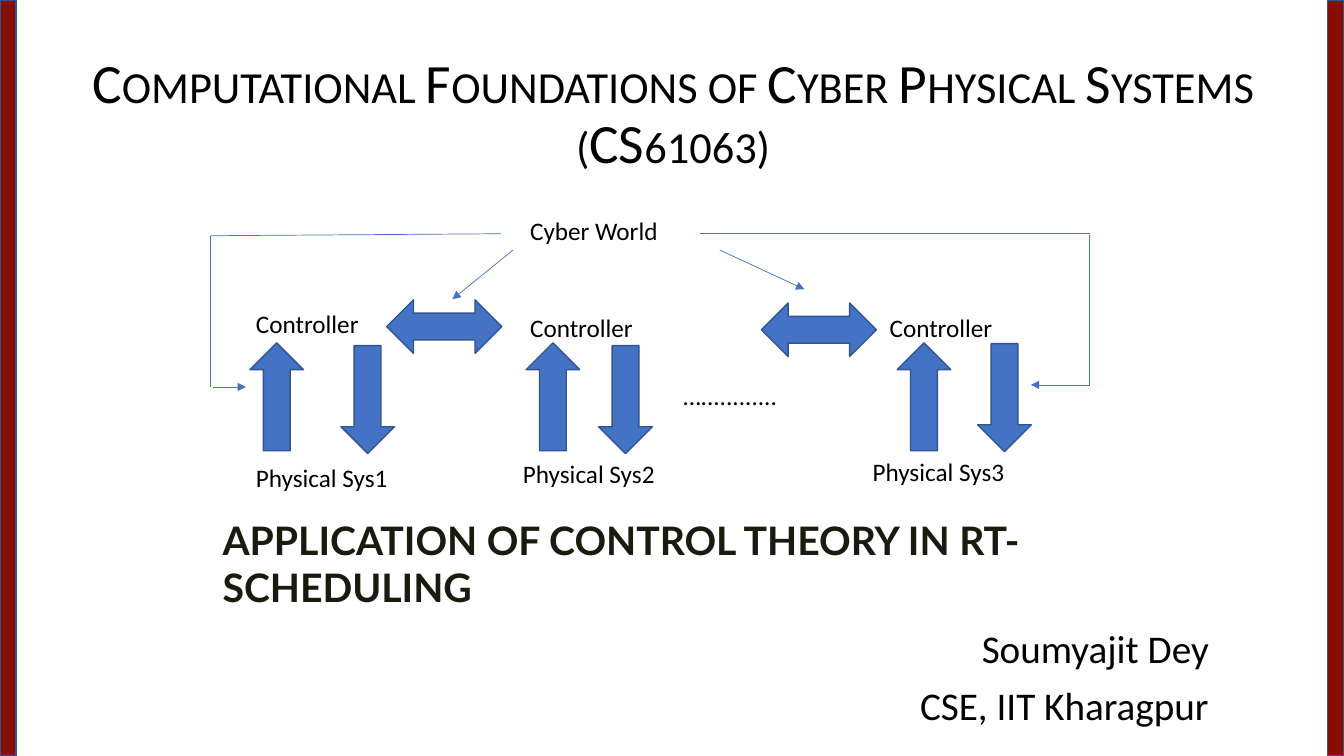
"""Builds the opening slide of a lecture on cyber physical systems."""
from dataclasses import dataclass

from pptx import Presentation
from pptx import util as u
from pptx.dml.color import RGBColor
from pptx.enum import shapes, text
from pptx.oxml.ns import qn
from lxml import etree


@dataclass(frozen=True)
class Theme:
    """Colours, fonts and type sizes of the slide."""
    black: str = "000000"
    heading: str = "191B0E"
    bar: str = "860F02"
    arrow: str = "4472C4"
    outline: str = "325491"
    body_font: str = "Calibri"
    heading_font: str = "Lato"
    title_size: float = 39.6
    large_size: float = 28
    label_size: float = 18


THEME = Theme()
SLIDE_WIDTH, SLIDE_HEIGHT = 33.87, 19.05
BAR_WIDTH = 0.41
ARROW_WIDTH, ARROW_LENGTH, LINK_LENGTH = 1.35, 2.72, 2.9
LABEL_HEIGHT = 1.02

SYSTEMS = [
    {"name": "Physical Sys1", "name_at": (6.2, 11.53), "controller_at": (6.2, 7.65),
     "up_at": (6.3, 8.64), "down_at": (8.59, 8.71)},
    {"name": "Physical Sys2", "name_at": (12.93, 11.43), "controller_at": (13.11, 7.75),
     "up_at": (13.26, 8.64), "down_at": (15.09, 8.71)},
    {"name": "Physical Sys3", "name_at": (21.74, 11.38), "controller_at": (22.17, 7.75),
     "up_at": (22.61, 8.64), "down_at": (24.64, 8.66)},
]
LINKS = [(10.52, 6.78), (19.96, 6.86)]
PLAIN_LINES = [
    (12.62, 5.89, 5.31, 5.94),
    (27.46, 5.89, 17.65, 5.89),
    (5.31, 5.94, 5.31, 9.75),
    (27.46, 5.92, 27.46, 9.7),
]
ARROW_LINES = [
    (12.93, 6.3, 11.4, 7.54),
    (18.14, 6.3, 20.27, 7.29),
    (5.36, 9.75, 6.2, 9.75),
    (27.46, 9.7, 25.98, 9.7),
]


def set_values(target, values):
    """Set each named attribute of the target."""
    for name, value in values.items():
        setattr(target, name, value)


def add_text(slide, box, lines, size=THEME.label_size, font=THEME.body_font,
             color=THEME.black, bold=False, anchor=text.MSO_ANCHOR.TOP, small_caps=False,
             paragraph_format=None):
    """Add a text box with one paragraph for each line."""
    shape = slide.shapes.add_textbox(*map(u.Cm, box))
    frame = shape.text_frame
    set_values(frame, {"word_wrap": True, "vertical_anchor": anchor})
    frame.text = "\n".join(lines)
    for paragraph in frame.paragraphs:
        set_values(paragraph, paragraph_format or {})
        for run in paragraph.runs:
            set_values(run.font, {"name": font, "size": u.Pt(size), "bold": bold})
            run.font.color.rgb = RGBColor.from_string(color)
            if small_caps:
                run.font._element.set("cap", "small")


def add_block(slide, kind, box, fill, rotation=0):
    """Add a filled and outlined preset shape."""
    shape = slide.shapes.add_shape(kind, *map(u.Cm, box))
    shape.shadow.inherit = False
    shape.rotation = rotation
    shape.fill.solid()
    shape.fill.fore_color.rgb = RGBColor.from_string(fill)
    shape.line.color.rgb = RGBColor.from_string(THEME.outline)
    shape.line.width = u.Pt(1)


def add_line(slide, ends, arrowhead=False):
    """Add a thin straight line, with an arrowhead at its end if asked."""
    connector = slide.shapes.add_connector(shapes.MSO_CONNECTOR.STRAIGHT, *map(u.Cm, ends))
    connector.line.color.rgb = RGBColor.from_string(THEME.arrow)
    connector.line.width = u.Pt(0.5)
    properties = connector._element.spPr
    if arrowhead:
        etree.SubElement(properties.find(qn("a:ln")), qn("a:tailEnd"), type="triangle")
    etree.SubElement(properties, qn("a:effectLst"))


def add_system(slide, system):
    """Add a physical system, its controller and the arrows between them."""
    add_text(slide, (*system["name_at"], 4.42, LABEL_HEIGHT), [system["name"]])
    add_text(slide, (*system["controller_at"], 3.53, LABEL_HEIGHT), ["Controller"])
    for key, kind in (("up_at", shapes.MSO_SHAPE.UP_ARROW),
                      ("down_at", shapes.MSO_SHAPE.DOWN_ARROW)):
        add_block(slide, kind, (*system[key], ARROW_WIDTH, ARROW_LENGTH), THEME.arrow)


def add_diagram(slide):
    """Add the systems, the links between them and the cyber world above."""
    for system in SYSTEMS:
        add_system(slide, system)
    for link in LINKS:
        add_block(slide, shapes.MSO_SHAPE.UP_DOWN_ARROW, (*link, ARROW_WIDTH, LINK_LENGTH),
                  THEME.arrow, rotation=90)
    add_text(slide, (16.97, 9.47, 3.3, LABEL_HEIGHT), ["…............"])
    add_text(slide, (13.11, 5.31, 4.39, LABEL_HEIGHT), ["Cyber World"])
    for ends in PLAIN_LINES:
        add_line(slide, ends)
    for ends in ARROW_LINES:
        add_line(slide, ends, arrowhead=True)


def main():
    """Build the slide and save it."""
    presentation = Presentation()
    set_values(presentation, {"slide_width": u.Cm(SLIDE_WIDTH),
                              "slide_height": u.Cm(SLIDE_HEIGHT)})
    slide = presentation.slides.add_slide(presentation.slide_layouts[6])
    for left in (0, SLIDE_WIDTH - BAR_WIDTH):
        add_block(slide, shapes.MSO_SHAPE.RECTANGLE, (left, 0, BAR_WIDTH, SLIDE_HEIGHT), THEME.bar)
    add_text(slide, (1.52, 1.07, 30.89, 3.68),
             ["Computational Foundations of Cyber Physical Systems (CS61063)"],
             size=THEME.title_size, anchor=text.MSO_ANCHOR.MIDDLE, small_caps=True,
             paragraph_format={"alignment": text.PP_ALIGN.CENTER, "line_spacing": 0.9})
    add_text(slide, (5.31, 15.75, 25.4, 3.3), ["Soumyajit Dey", "CSE, IIT Kharagpur"],
             size=THEME.large_size,
             paragraph_format={"alignment": text.PP_ALIGN.RIGHT, "line_spacing": 0.9,
                               "space_before": u.Pt(10)})
    add_diagram(slide)
    add_text(slide, (5.36, 12.88, 23.01, 2.64),
             ["APPLICATION OF CONTROL THEORY IN RT-SCHEDULING"],
             size=THEME.large_size, font=THEME.heading_font, color=THEME.heading, bold=True)
    presentation.save("out.pptx")


if __name__ == "__main__":
    main()
